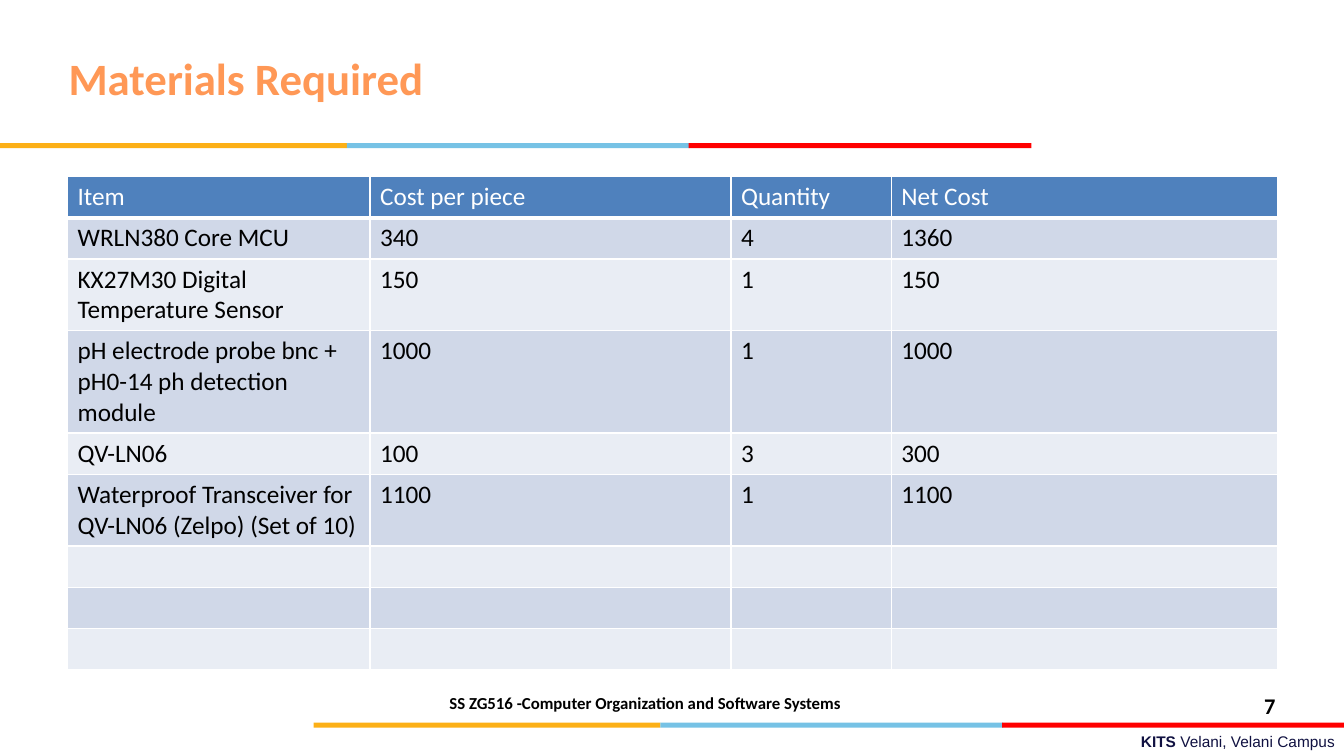
from dataclasses import dataclass

from lxml.etree import SubElement
from pptx import Presentation
from pptx.dml.color import RGBColor
from pptx.enum.shapes import MSO_SHAPE as Shape
from pptx.enum.text import MSO_ANCHOR as Anchor, MSO_AUTO_SIZE as AutoSize, PP_ALIGN as Align
from pptx.oxml.ns import qn
from pptx.util import Inches, Pt

COLORS = {
    "title": "FF9856", "yellow": "FCB017", "blue": "76C2E5", "red": "FF0000",
    "navy": "101141", "black": "000000", "white": "FFFFFF",
    "header": "4F81BD", "band_dark": "D0D8E8", "band_light": "E9EDF4",
}
TITLE = {"name": "Calibri", "size": Pt(32), "bold": True}
CELL = {"name": "Calibri", "size": Pt(18), "bold": False}
COURSE = {"name": "Calibri", "size": Pt(12), "bold": True}
NUMBER = {"name": "Calibri", "size": Pt(16), "bold": True}
CAMPUS = {"name": "Arial", "size": Pt(11), "bold": False}
CAMPUS_BOLD = CAMPUS | {"bold": True}

COLUMN_WIDTHS = (3, 3.58, 1.59, 3.83)
ROW_HEIGHT = 0.41
ROWS = [
    ("Item", "Cost per piece", "Quantity", "Net Cost"),
    ("WRLN380 Core MCU", "340", "4", "1360"),
    ("KX27M30 Digital Temperature Sensor", "150", "1", "150"),
    ("pH electrode probe bnc + pH0-14 ph detection module", "1000", "1", "1000"),
    ("QV-LN06", "100", "3", "300"),
    ("Waterproof Transceiver for QV-LN06 (Zelpo) (Set of 10)", "1100", "1", "1100"),
    *[("",) * 4] * 3,
]


@dataclass(frozen=True)
class Label:
    box: tuple[float, float, float, float]
    runs: tuple[tuple[str, dict], ...]
    color: str = "black"
    align: Align = Align.LEFT


@dataclass(frozen=True)
class Stripe:
    left: float
    top: float


LABELS = (
    Label((4.78, 7.21, 8.56, 0.29),
          (("KITS ", CAMPUS_BOLD), ("Velani, Velani Campus", CAMPUS)), "navy", Align.RIGHT),
    Label((3.2, 6.82, 6.4, 0.4),
          (("SS ZG516 -Computer Organization and Software Systems", COURSE),), align=Align.CENTER),
    Label((12.44, 6.82, 0.89, 0.32), (("7", NUMBER),)),
)
STRIPES = (Stripe(3.11, 7.17), Stripe(0, 1.42))
STRIPE_PARTS = (("yellow", 0, 3.44), ("blue", 3.44, 3.4), ("red", 6.83, 3.4))


def rgb(name: str) -> RGBColor:
    return RGBColor.from_string(COLORS[name])


def add_run(p, text: str, style: dict, color: str) -> None:
    r = p.add_run()
    r.text = text
    for key, value in style.items():
        setattr(r.font, key, value)
    r.font.color.rgb = rgb(color)


def add_label(s, label: Label) -> None:
    tf = s.shapes.add_textbox(*map(Inches, label.box)).text_frame
    tf.word_wrap = True
    p = tf.paragraphs[0]
    p.alignment = label.align
    for text, style in label.runs:
        add_run(p, text, style, label.color)


def add_stripe(s, stripe: Stripe) -> None:
    for color, offset, width in STRIPE_PARTS:
        sp = s.shapes.add_shape(Shape.RECTANGLE, Inches(stripe.left + offset),
                                Inches(stripe.top), Inches(width), Inches(0.05))
        sp.shadow.inherit = False
        sp.fill.solid()
        sp.fill.fore_color.rgb = rgb(color)
        sp.line.fill.background()


def add_title(s) -> None:
    sp = s.shapes.title
    sp.left, sp.top, sp.width, sp.height = map(Inches, (0.58, 0.3, 8.92, 0.93))
    tf = sp.text_frame
    for key, value in {"word_wrap": True, "auto_size": AutoSize.NONE,
                       "vertical_anchor": Anchor.MIDDLE}.items():
        setattr(tf, key, value)
    p = tf.paragraphs[0]
    p.alignment = Align.LEFT
    add_run(p, "Materials Required", TITLE, "title")


def add_borders(cell, bottom: float) -> None:
    props = cell._tc.get_or_add_tcPr()
    for side, width in {"L": 1, "R": 1, "T": 1, "B": bottom}.items():
        line = SubElement(props, qn(f"a:ln{side}"), w=str(Pt(width)))
        fill = SubElement(line, qn("a:solidFill"))
        SubElement(fill, qn("a:srgbClr"), val=COLORS["white"])


def add_materials(s) -> None:
    box = (0.67, 1.75, sum(COLUMN_WIDTHS), ROW_HEIGHT * len(ROWS))
    table = s.shapes.add_table(len(ROWS), len(COLUMN_WIDTHS), *map(Inches, box)).table
    table.horz_banding = False
    for column, width in zip(table.columns, COLUMN_WIDTHS):
        column.width = Inches(width)
    for i, texts in enumerate(ROWS):
        table.rows[i].height = Inches(ROW_HEIGHT)
        band = "header" if i == 0 else ("band_light", "band_dark")[i % 2]
        for j, text in enumerate(texts):
            cell = table.cell(i, j)
            add_borders(cell, 1 if i else 3)
            cell.fill.solid()
            cell.fill.fore_color.rgb = rgb(band)
            if text:
                add_run(cell.text_frame.paragraphs[0], text, CELL, "black" if i else "white")


def main() -> None:
    prs = Presentation()
    prs.slide_width, prs.slide_height = Inches(13.33), Inches(7.5)
    s = prs.slides.add_slide(prs.slide_layouts[5])
    for stripe in STRIPES:
        add_stripe(s, stripe)
    add_title(s)
    add_materials(s)
    for label in LABELS:
        add_label(s, label)
    prs.save("out.pptx")


if __name__ == "__main__":
    main()
